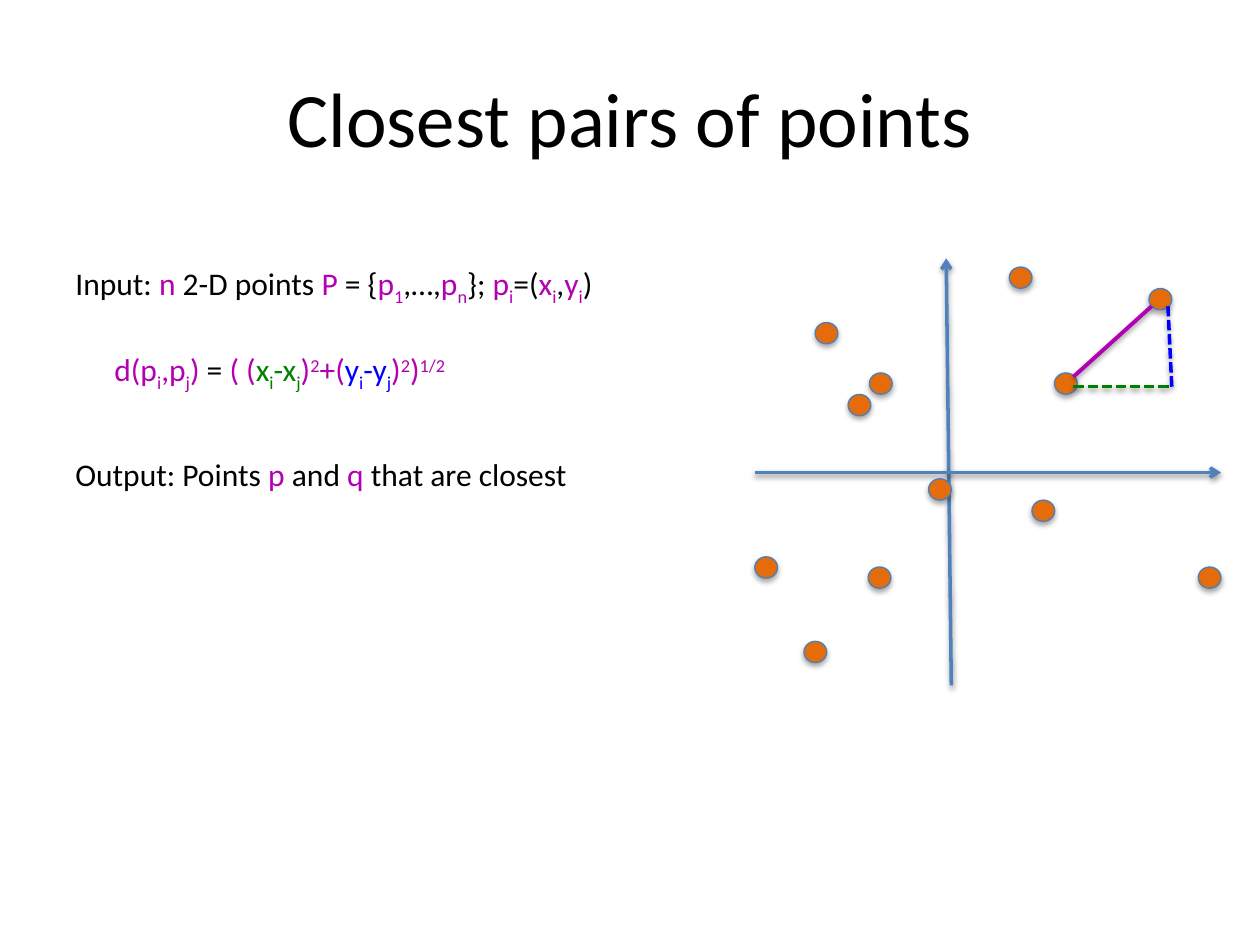
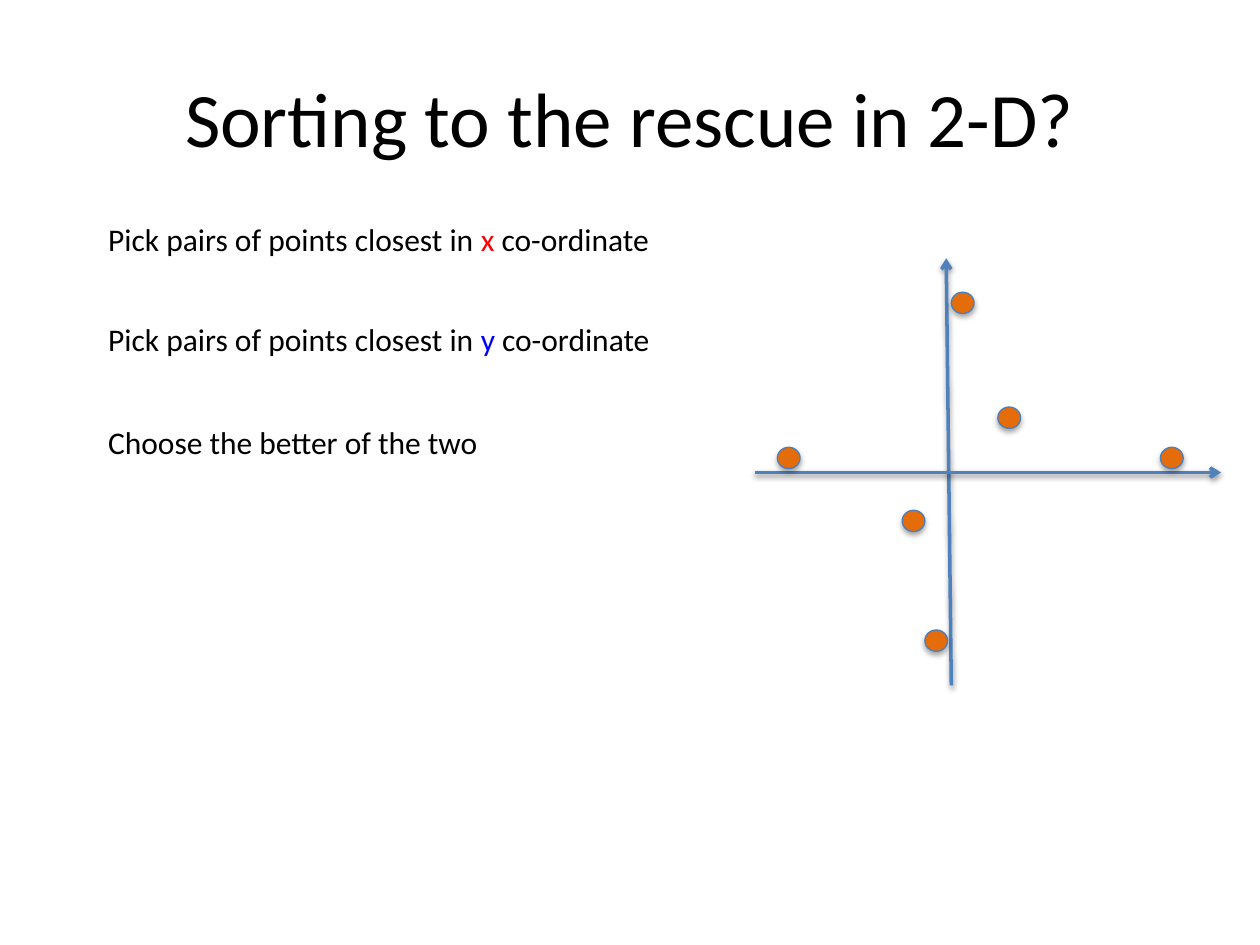
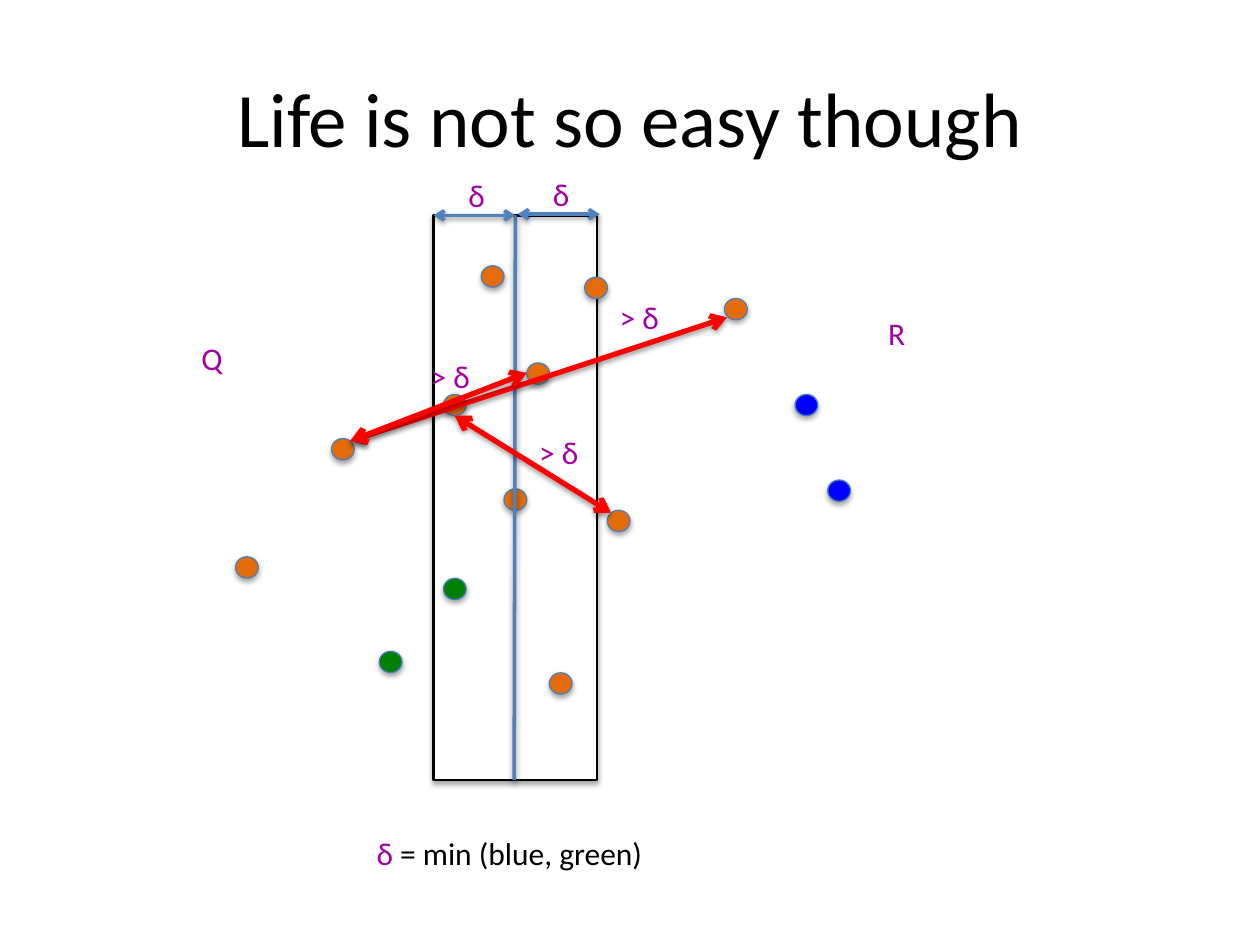
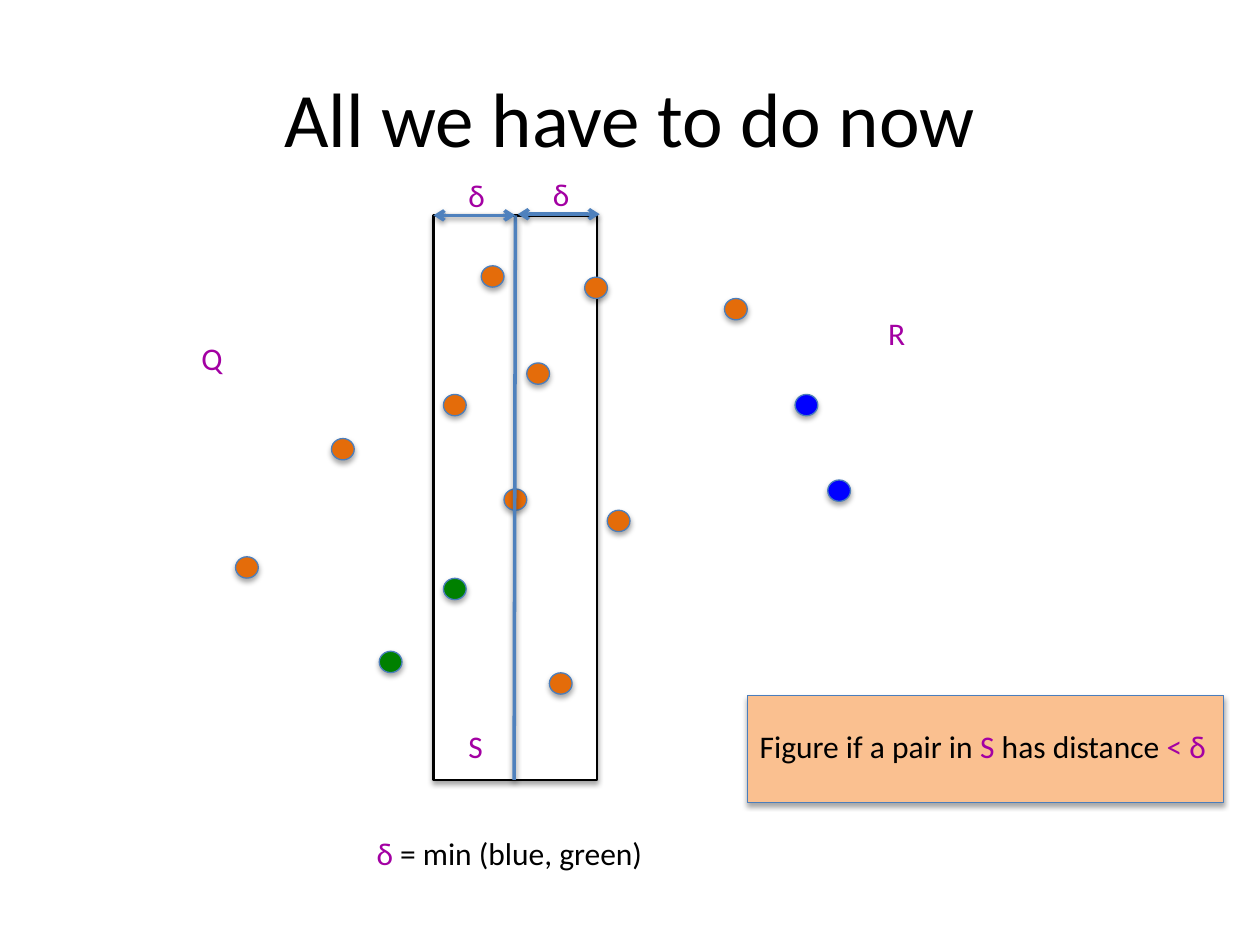
from dataclasses import dataclass
from typing import NamedTuple

from lxml import etree
from pptx import Presentation
from pptx.dml.color import RGBColor
from pptx.enum import dml, shapes, text
from pptx.oxml import ns
from pptx.slide import Slide
from pptx.util import Pt


@dataclass(frozen=True)
class Theme:
    font: str = "Calibri"
    title_size: float = 44
    body_size: float = 18
    black: str = "000000"
    white: str = "FFFFFF"
    axis: str = "4F81BD"
    edge: str = "4B7EBC"
    orange: str = "E46C0A"
    peach: str = "FAC090"
    red: str = "FF0000"
    green: str = "008000"
    blue: str = "0000FF"
    magenta: str = "B200B2"
    purple: str = "A300A3"


THEME = Theme()
SUBSCRIPT, SUPERSCRIPT = -25000, 30000
DOT_WIDTH, DOT_HEIGHT = 13, 12.2
LABEL_HEIGHT = 28.8
DELTA = "δ"


class Span(NamedTuple):
    """A stretch of text in one format."""
    text: str
    color: str = THEME.black
    baseline: int = 0
    outline: str = ""


class Label(NamedTuple):
    left: float
    top: float
    width: float
    spans: list[Span]


class Dot(NamedTuple):
    left: float
    top: float
    color: str = THEME.orange


class Line(NamedTuple):
    start: tuple[float, float]
    end: tuple[float, float]
    color: str = THEME.axis
    weight: float = 2
    head: bool = False
    tail: bool = False
    dashed: bool = False


def rgb(color: str) -> RGBColor:
    return RGBColor.from_string(color)


def add_solid_fill(parent, color: str):
    """Append a solid fill and return its colour element."""
    fill = etree.SubElement(parent, ns.qn("a:solidFill"))
    return etree.SubElement(fill, ns.qn("a:srgbClr"), val=color)


def add_shadow(shape, distance: float, opacity: int) -> None:
    """Give a soft shadow below; the line must be set already."""
    effects = etree.SubElement(shape._element.spPr, ns.qn("a:effectLst"))
    shadow = etree.SubElement(
        effects, ns.qn("a:outerShdw"), blurRad=str(Pt(3.1)),
        dist=str(Pt(distance)), dir="5400000", rotWithShape="0")
    color = etree.SubElement(shadow, ns.qn("a:srgbClr"), val=THEME.black)
    etree.SubElement(color, ns.qn("a:alpha"), val=str(opacity * 1000))


def add_text(slide: Slide, left: float, top: float, width: float,
             spans: list[Span], *, height: float = LABEL_HEIGHT,
             size: float = THEME.body_size, wrap: bool = False,
             align=text.PP_ALIGN.LEFT, anchor=text.MSO_ANCHOR.TOP) -> None:
    box = slide.shapes.add_textbox(Pt(left), Pt(top), Pt(width), Pt(height))
    frame = box.text_frame
    frame.word_wrap = wrap
    frame.vertical_anchor = anchor
    if not wrap:
        frame.auto_size = text.MSO_AUTO_SIZE.SHAPE_TO_FIT_TEXT
    paragraph = frame.paragraphs[0]
    paragraph.alignment = align
    for span in spans:
        run = paragraph.add_run()
        run.text = span.text
        run.font.name = THEME.font
        run.font.size = Pt(size)
        run.font.color.rgb = rgb(span.color)
        properties = run._r.get_or_add_rPr()
        if span.baseline:
            properties.set("baseline", str(span.baseline))
        if span.outline:
            outline = etree.Element(ns.qn("a:ln"), w=str(Pt(0.75)))
            add_solid_fill(outline, span.outline)
            properties.insert(0, outline)


def add_labels(slide: Slide, labels: list[Label]) -> None:
    for label in labels:
        add_text(slide, *label)


def add_filled_shape(slide: Slide, kind, left: float, top: float, width: float,
                     height: float, *, fill: str, line: str = THEME.edge,
                     weight: float = 0.75) -> None:
    shape = slide.shapes.add_shape(kind, Pt(left), Pt(top), Pt(width), Pt(height))
    shape.fill.solid()
    shape.fill.fore_color.rgb = rgb(fill)
    shape.line.color.rgb = rgb(line)
    shape.line.width = Pt(weight)
    add_shadow(shape, 1.8, 35)


def add_dots(slide: Slide, dots: list[Dot]) -> None:
    for dot in dots:
        add_filled_shape(slide, shapes.MSO_SHAPE.OVAL, dot.left, dot.top,
                         DOT_WIDTH, DOT_HEIGHT, fill=dot.color)


def add_lines(slide: Slide, lines: list[Line]) -> None:
    for line in lines:
        connector = slide.shapes.add_connector(
            shapes.MSO_CONNECTOR.STRAIGHT,
            *(Pt(value) for value in (*line.start, *line.end)))
        connector.line.color.rgb = rgb(line.color)
        connector.line.width = Pt(line.weight)
        if line.dashed:
            connector.line.dash_style = dml.MSO_LINE.SQUARE_DOT
        outline = connector.line._get_or_add_ln()
        for present, tag in ((line.head, "a:headEnd"), (line.tail, "a:tailEnd")):
            if present:
                etree.SubElement(outline, ns.qn(tag), type="arrow")
        add_shadow(connector, 1.6, 38)


def add_titled_slide(presentation, title: str) -> Slide:
    slide = presentation.slides.add_slide(presentation.slide_layouts[6])
    add_text(slide, 36, 21.6, 648, [Span(title)], height=90,
             size=THEME.title_size, wrap=True, align=text.PP_ALIGN.CENTER,
             anchor=text.MSO_ANCHOR.MIDDLE)
    return slide


def add_axes(slide: Slide) -> None:
    add_lines(slide, [
        Line((543.6, 391.7), (540.7, 147.6), tail=True),
        Line((431.3, 270), (697.7, 270), tail=True),
    ])


def add_strip_diagram(slide: Slide) -> None:
    """Draw the points split into Q and R, with the strip around the divider."""
    add_filled_shape(slide, shapes.MSO_SHAPE.RECTANGLE, 247.7, 123.1, 93.6, 322.6,
                     fill=THEME.white, line=THEME.black, weight=1.5)
    add_dots(slide, [
        Dot(275, 151.9), Dot(189.4, 250.6), Dot(414, 170.6), Dot(301, 207.4),
        Dot(253.4, 225.4), Dot(134.6, 318.2), Dot(253.4, 330.5, THEME.green),
        Dot(288, 279.4), Dot(216.7, 372.2, THEME.green), Dot(334.1, 158.4),
        Dot(347, 291.6), Dot(313.9, 384.5), Dot(454.3, 225.4, THEME.blue),
        Dot(473, 274.3, THEME.blue),
    ])
    add_lines(slide, [
        Line((294.5, 123.1), (293.8, 445.7)),
        Line((247.7, 123.1), (294.5, 123.1), head=True, tail=True),
        Line((295.9, 122.4), (342.7, 122.4), head=True, tail=True),
    ])
    purple = THEME.purple
    add_labels(slide, [
        Label(208.1, 473, 167.8, [
            Span(DELTA, purple), Span(" = min ("),
            Span("blue", outline=THEME.blue), Span(", "),
            Span("green", outline=THEME.green), Span(")")]),
        Label(108, 190.1, 26.6, [Span("Q", purple)]),
        Label(500.4, 175.7, 24.5, [Span("R", purple)]),
        Label(260.6, 97.2, 23.8, [Span(DELTA, purple)]),
        Label(308.9, 96.5, 23.8, [Span(DELTA, purple)]),
    ])


def build_closest_pairs(presentation) -> None:
    slide = add_titled_slide(presentation, "Closest pairs of points")
    magenta, green, blue = THEME.magenta, THEME.green, THEME.blue
    add_labels(slide, [
        Label(36, 147.6, 317.5, [
            Span("Input: "), Span("n", magenta), Span(" 2-D points "),
            Span("P", magenta), Span(" = {"),
            Span("p", magenta), Span("1", magenta, SUBSCRIPT), Span(",…,"),
            Span("p", magenta), Span("n", magenta, SUBSCRIPT), Span("}; "),
            Span("p", magenta), Span("i", magenta, SUBSCRIPT), Span("=("),
            Span("x", magenta), Span("i", magenta, SUBSCRIPT), Span(","),
            Span("y", magenta), Span("i", magenta, SUBSCRIPT), Span(")")]),
        Label(36, 256.3, 298.1, [
            Span("Output: Points "), Span("p", magenta), Span(" and "),
            Span("q", magenta), Span(" that are closest")]),
        Label(58.3, 196.6, 211.7, [
            Span("d(p", magenta), Span("i", magenta, SUBSCRIPT),
            Span(",p", magenta), Span("j", magenta, SUBSCRIPT),
            Span(") ", magenta), Span("= "), Span("( (", magenta),
            Span("x", green), Span("i", green, SUBSCRIPT),
            Span("-x", green), Span("j", green, SUBSCRIPT),
            Span(")", magenta), Span("2", magenta, SUPERSCRIPT),
            Span("+(", magenta),
            Span("y", blue), Span("i", blue, SUBSCRIPT),
            Span("-y", blue), Span("j", blue, SUBSCRIPT),
            Span(")", magenta), Span("2", magenta, SUPERSCRIPT),
            Span(")", magenta), Span("1/2", magenta, SUPERSCRIPT)]),
    ])
    add_axes(slide)
    add_dots(slide, [
        Dot(465.8, 184.3), Dot(484.6, 225.4), Dot(656.6, 164.9),
        Dot(602.6, 213.1), Dot(496.8, 213.1), Dot(431.3, 318.2),
        Dot(496.1, 324), Dot(530.6, 273.6), Dot(459.4, 366.5),
        Dot(576.7, 152.6), Dot(589.7, 285.8), Dot(684.7, 324),
    ])
    add_lines(slide, [
        Line((613.4, 215.3), (658.1, 175), magenta, 2.25),
        Line((613.4, 221), (669.6, 221), green, dashed=True),
        Line((669.6, 221), (667.4, 175), blue, dashed=True),
    ])


def build_sorting(presentation) -> None:
    slide = add_titled_slide(presentation, "Sorting to the rescue in 2-D?")
    for top, name, color in ((122.4, "x", THEME.red), (179.3, "y", THEME.blue)):
        add_text(slide, 54.7, top, 328.3, [
            Span("Pick pairs of points closest in "), Span(name, color),
            Span(" co-ordinate")])
    add_text(slide, 54.7, 238.3, 228.2, [Span("Choose the better of the two")])
    add_axes(slide)
    add_dots(slide, [
        Dot(444.2, 255.6), Dot(528.5, 360), Dot(570.2, 232.6),
        Dot(543.6, 167), Dot(515.5, 291.6), Dot(663.1, 255.6),
    ])


def build_not_so_easy(presentation) -> None:
    slide = add_titled_slide(presentation, "Life is not so easy though")
    add_strip_diagram(slide)
    add_lines(slide, [
        Line(start, end, THEME.red, 3, head=True, tail=True)
        for start, end in (((200.2, 252), (415.4, 181.4)),
                           ((259.9, 237.6), (349.2, 293)),
                           ((200.2, 252), (301, 213.1)))
    ])
    add_labels(slide, [
        Label(left, top, 37.4, [Span(f"> {DELTA}", THEME.purple)])
        for left, top in ((347, 167), (301, 244.1), (239, 200.2))
    ])


def build_remaining_task(presentation) -> None:
    slide = add_titled_slide(presentation, "All we have to do now")
    add_strip_diagram(slide)
    add_text(slide, 260.6, 411.8, 23, [Span("S", THEME.purple)])
    add_filled_shape(slide, shapes.MSO_SHAPE.RECTANGLE, 427, 397.4, 272.2, 61.2,
                     fill=THEME.peach)
    add_text(slide, 427, 411.8, 272.2, [
        Span("Figure if a pair in "), Span("S", THEME.purple),
        Span(" has distance "), Span(f"< {DELTA}", THEME.purple)])


def main() -> None:
    presentation = Presentation()
    presentation.slide_width, presentation.slide_height = Pt(720), Pt(540)
    for build in (build_closest_pairs, build_sorting, build_not_so_easy,
                  build_remaining_task):
        build(presentation)
    presentation.save("out.pptx")


if __name__ == "__main__":
    main()
